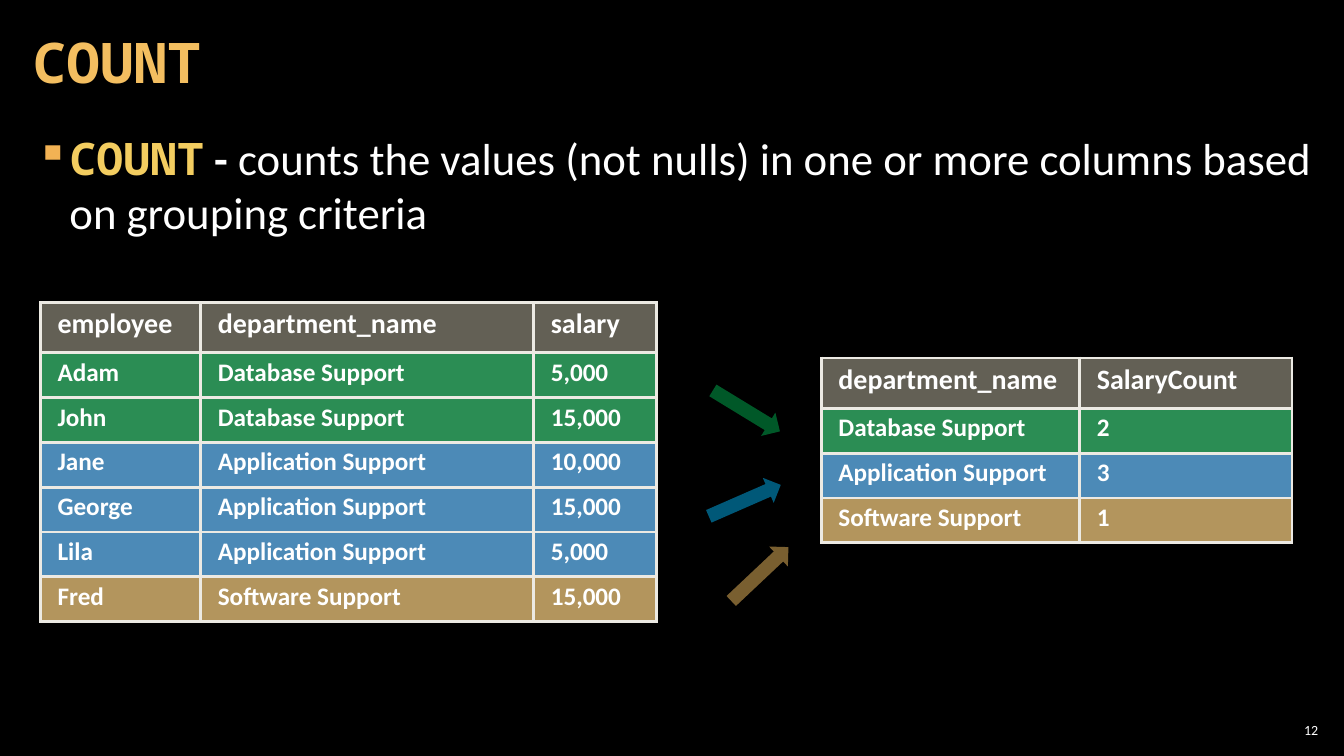
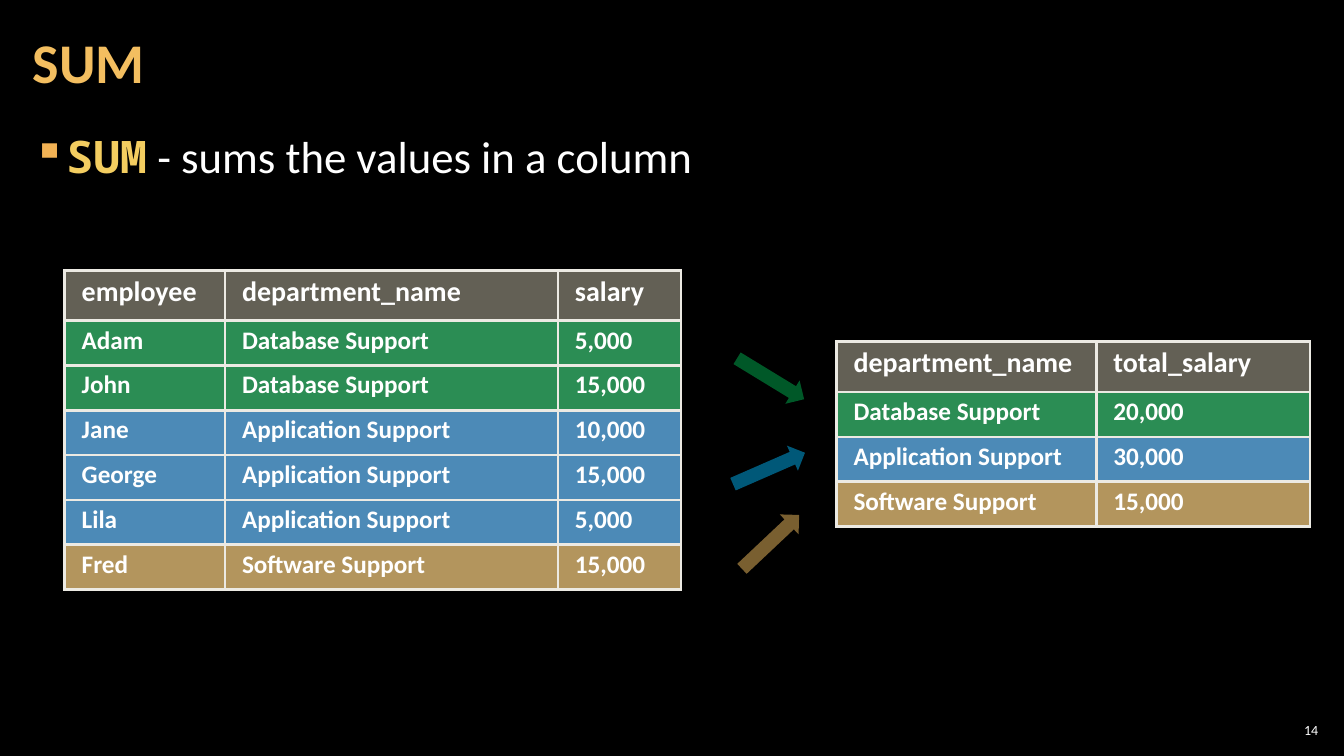
"""Build two slides that explain the SQL aggregates COUNT and SUM."""
from itertools import groupby

from lxml.etree import SubElement
from pptx import Presentation
from pptx.dml.color import RGBColor
from pptx.enum.shapes import MSO_SHAPE
from pptx.enum.text import MSO_ANCHOR, PP_ALIGN
from pptx.oxml.ns import qn
from pptx.util import Cm, Pt

COLORS = {
    "background": "000000", "text": "FFFFFF", "title": "F3BE60", "keyword": "F3CD60",
    "bullet": "F2B254", "border": "ECEAE3", "header": "C6C0AA", "cell": "D9D5C7",
    "green": "00B050", "blue": "3BABFF", "cyan": "00B0F0", "gold": "F3BE60",
}
SANS, MONO = "Calibri", "Noto Sans Mono"

DEPARTMENTS = {
    "Database Support": {"band": "green", "arrow": "green", "turn": 31.4, "drop": 2.39},
    "Application Support": {"band": "blue", "arrow": "cyan", "turn": 336.4, "drop": 4.65},
    "Software Support": {"band": "gold", "arrow": "gold", "turn": 316.7, "drop": 6.5},
}
EMPLOYEES = [
    ("employee", "department_name", "salary"),
    ("Adam", "Database Support", "5,000"),
    ("John", "Database Support", "15,000"),
    ("Jane", "Application Support", "10,000"),
    ("George", "Application Support", "15,000"),
    ("Lila", "Application Support", "5,000"),
    ("Fred", "Software Support", "15,000"),
]
EMPLOYEE_COLUMNS = (4.04, 8.39, 3.1)
HEADER_HEIGHT, ROW_HEIGHT = 1.27, 1.13

KEYWORD = {"font": MONO, "color": "keyword", "bold": True}
SLIDES = [
    {
        "title": "COUNT", "title_font": MONO, "number": "12",
        "body": [("COUNT", KEYWORD), (" -", {"bold": True}),
                 (" counts the values (not nulls) in one or more columns"
                  " based on grouping criteria", {})],
        "body_at": (0.61, 3.2), "employees_at": (1.02, 7.62),
        "arrow_offsets": (16.8, 16.76, 17.14),
        "summary_at": (20.7, 9.02), "summary_columns": (6.51, 5.35),
        "summary": [("department_name", "SalaryCount"), ("Database Support", "2"),
                    ("Application Support", "3"), ("Software Support", "1")],
    },
    {
        "title": "SUM", "title_font": SANS, "number": "14",
        "body": [("SUM", KEYWORD), (" - sums the values in a column", {})],
        "body_at": (0.53, 3.15), "employees_at": (1.63, 6.81),
        "arrow_offsets": (16.8, 16.76, 16.8),
        "summary_at": (21.08, 8.61), "summary_columns": (6.55, 5.38),
        "summary": [("department_name", "total_salary"), ("Database Support", "20,000"),
                    ("Application Support", "30,000"), ("Software Support", "15,000")],
    },
]


def rgb(name):
    return RGBColor.from_string(COLORS[name])


def write(paragraph, text, size=18, font=SANS, color="text", bold=False):
    run = paragraph.add_run()
    run.text = text
    run.font.size, run.font.name, run.font.bold = Pt(size), font, bold
    run.font.color.rgb = rgb(color)


def set_margins(area, across, down):
    area.margin_left = area.margin_right = Cm(across)
    area.margin_top = area.margin_bottom = Cm(down)


def paint(fill, properties, color, opacity):
    fill.solid()
    fill.fore_color.rgb = rgb(color)
    solid = properties.find(qn("a:solidFill"))
    SubElement(solid[0], qn("a:alpha"), val=str(opacity * 1000))


def add_block(slide, preset, box, color, opacity):
    block = slide.shapes.add_shape(preset, *map(Cm, box))
    block.shadow.inherit = False
    block.line.fill.background()
    paint(block.fill, block._element.spPr, color, opacity)
    return block


def add_text_area(slide, box, across, down):
    frame = slide.shapes.add_textbox(*map(Cm, box)).text_frame
    frame.word_wrap = True
    set_margins(frame, across, down)
    return frame


def add_title(slide, text, font):
    title = slide.shapes.title
    title.left, title.top, title.width, title.height = map(Cm, (0.53, 0.1, 26.59, 3.07))
    frame = title.text_frame
    frame.vertical_anchor = MSO_ANCHOR.MIDDLE
    set_margins(frame, 0.3, 0.1)
    paragraph = frame.paragraphs[0]
    paragraph.alignment, paragraph.line_spacing = PP_ALIGN.LEFT, 0.9
    write(paragraph, text, size=40, font=font, color="title", bold=True)


def add_body(slide, runs, left, top):
    paragraph = add_text_area(slide, (left, top, 32.79, 15.47), 0.3, 0.1).paragraphs[0]
    properties = paragraph._p.get_or_add_pPr()
    properties.set("marL", str(Cm(0.84)))
    properties.set("indent", str(-Cm(0.84)))
    bullet_color = SubElement(properties, qn("a:buClr"))
    SubElement(bullet_color, qn("a:srgbClr"), val=COLORS["bullet"])
    SubElement(properties, qn("a:buChar"), char="▪")
    paragraph.space_after = Pt(6)
    for text, style in runs:
        write(paragraph, text, size=32, **style)


def add_number(slide, number):
    frame = add_text_area(slide, (32.13, 18.14, 1.19, 0.53), 0.1, 0.1)
    frame.vertical_anchor = MSO_ANCHOR.MIDDLE
    frame.paragraphs[0].alignment = PP_ALIGN.RIGHT
    write(frame.paragraphs[0], number, size=10)


def fill_cell(cell, text, is_header):
    properties = cell._tc.get_or_add_tcPr()
    for side in ("lnL", "lnR", "lnT", "lnB"):
        line = SubElement(properties, qn(f"a:{side}"), w=str(Pt(2.25)))
        SubElement(SubElement(line, qn("a:solidFill")), qn("a:srgbClr"), val=COLORS["border"])
    paint(cell.fill, properties, *(("header", 50) if is_header else ("cell", 20)))
    set_margins(cell, 0.43, 0.13)
    paragraph = cell.text_frame.paragraphs[0]
    paragraph.line_spacing = 0.95
    write(paragraph, text, size=20 if is_header else 18, bold=True)


def add_banded_table(slide, rows, columns, left, top):
    width = sum(columns)
    department = rows[0].index("department_name")
    band_top = top + HEADER_HEIGHT
    for name, members in groupby(rows[1:], key=lambda row: row[department]):
        height = ROW_HEIGHT * len(list(members))
        add_block(slide, MSO_SHAPE.RECTANGLE, (left, band_top, width, height),
                  DEPARTMENTS[name]["band"], 70)
        band_top += height
    table = slide.shapes.add_table(len(rows), len(columns), Cm(left), Cm(top),
                                   Cm(width), Cm(band_top - top)).table
    table.horz_banding = False
    for column, column_width in zip(table.columns, columns):
        column.width = Cm(column_width)
    for index, (row, texts) in enumerate(zip(table.rows, rows)):
        row.height = Cm(ROW_HEIGHT if index else HEADER_HEIGHT)
        for cell, text in zip(row.cells, texts):
            fill_cell(cell, text, is_header=index == 0)


def add_arrows(slide, offsets, left, top):
    for offset, style in zip(offsets, DEPARTMENTS.values()):
        box = (left + offset, top + style["drop"], 1.98, 0.69)
        arrow = add_block(slide, MSO_SHAPE.RIGHT_ARROW, box, style["arrow"], 50)
        arrow.rotation = style["turn"]


def main():
    deck = Presentation()
    deck.slide_width, deck.slide_height = Cm(33.87), Cm(19.05)
    background = deck.slide_master.background.fill
    background.solid()
    background.fore_color.rgb = rgb("background")
    for content in SLIDES:
        slide = deck.slides.add_slide(deck.slide_layouts[5])
        add_title(slide, content["title"], content["title_font"])
        add_body(slide, content["body"], *content["body_at"])
        add_number(slide, content["number"])
        add_banded_table(slide, EMPLOYEES, EMPLOYEE_COLUMNS, *content["employees_at"])
        add_arrows(slide, content["arrow_offsets"], *content["employees_at"])
        add_banded_table(slide, content["summary"], content["summary_columns"],
                         *content["summary_at"])
    deck.save("out.pptx")


if __name__ == "__main__":
    main()
